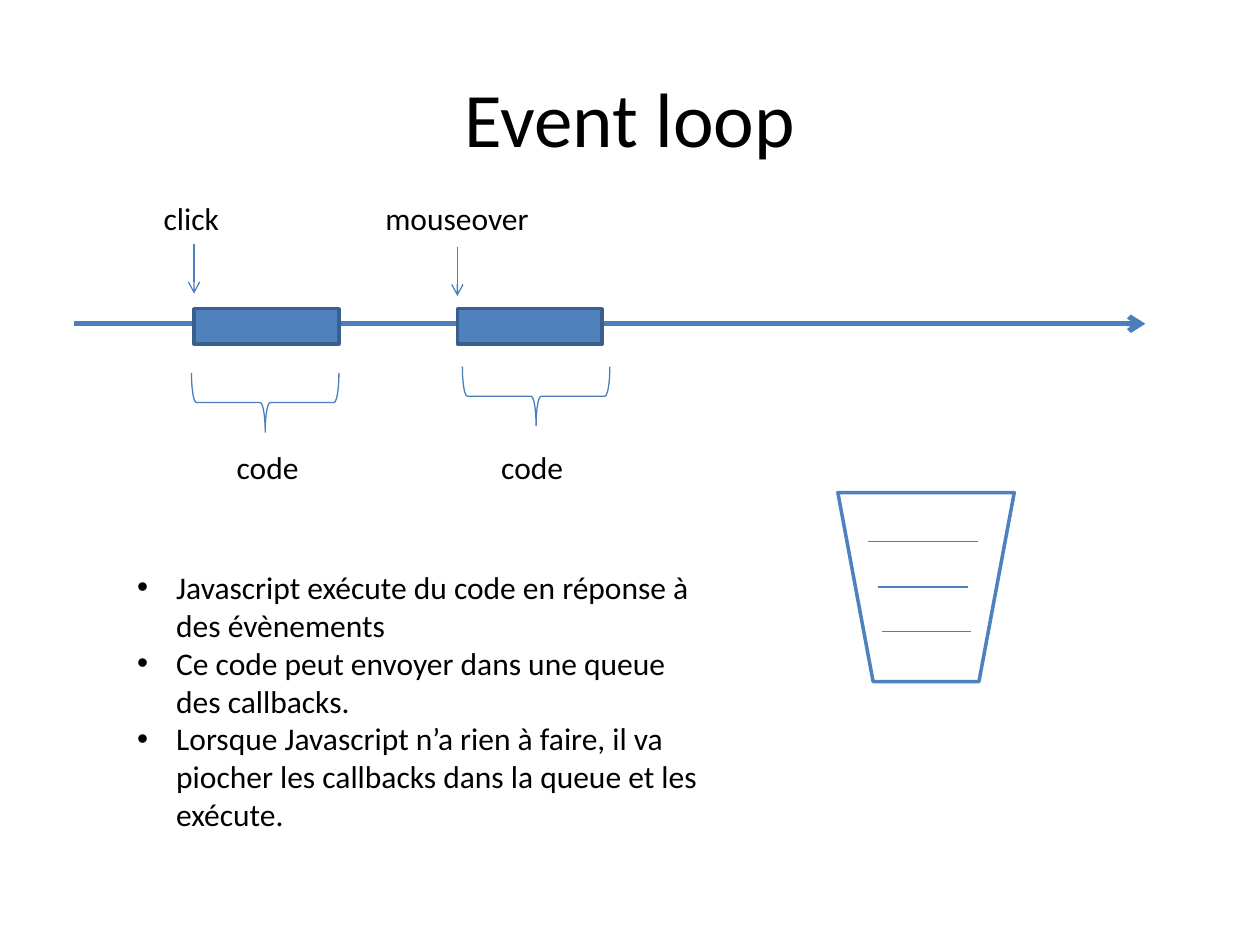
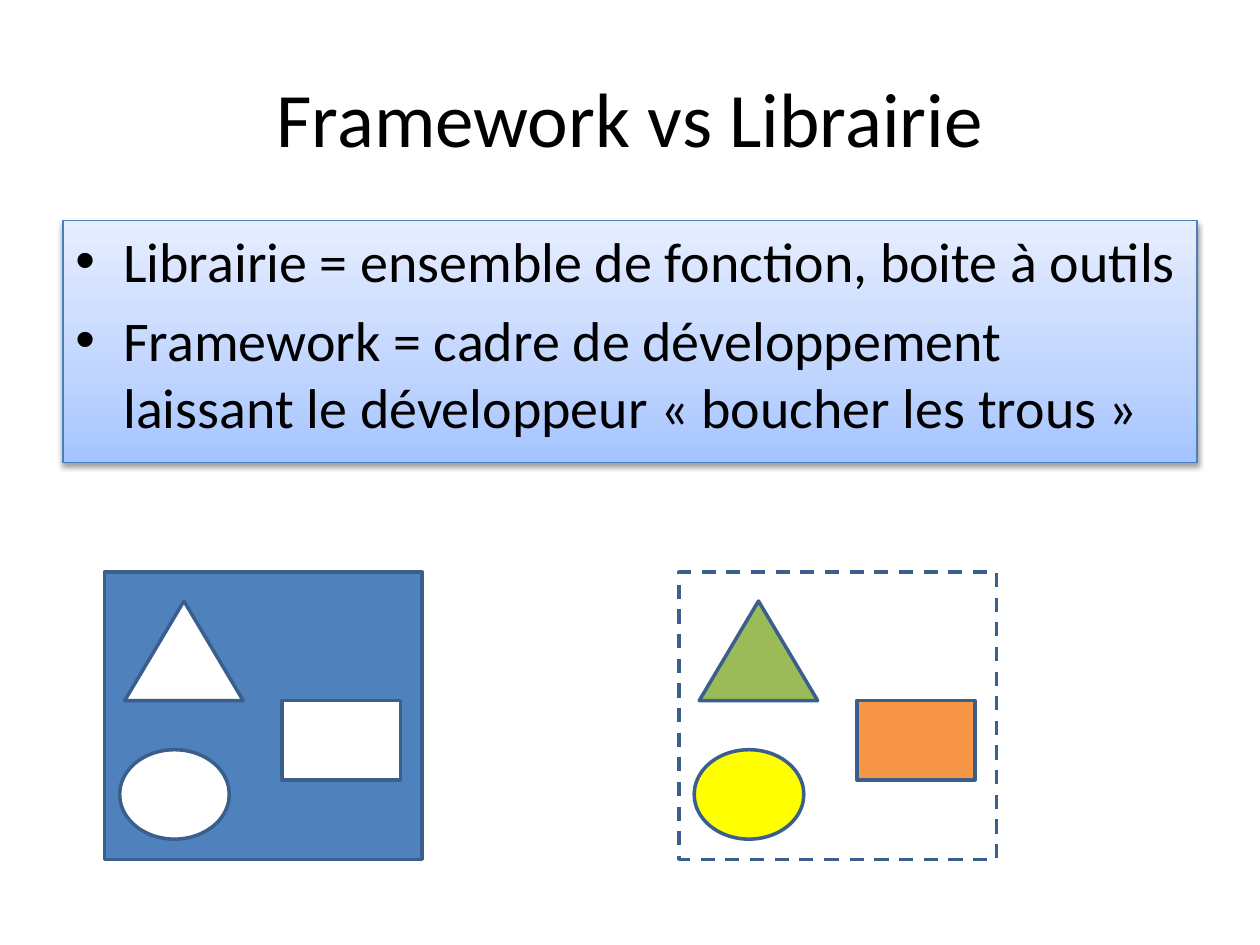
from dataclasses import dataclass
from typing import NamedTuple

from pptx import Presentation
from pptx.dml.color import RGBColor
from pptx.enum.dml import MSO_LINE
from pptx.enum.shapes import MSO_CONNECTOR, MSO_SHAPE
from pptx.enum.text import MSO_ANCHOR, MSO_AUTO_SIZE, PP_ALIGN
from pptx.oxml import parse_xml
from pptx.oxml.ns import nsdecls, qn
from pptx.oxml.xmlchemy import OxmlElement
from pptx.util import Emu, Pt

PX = 9144  # 100 px to the inch
TITLE_ONLY = 5
RECT, TRIANGLE, ELLIPSE = MSO_SHAPE.RECTANGLE, MSO_SHAPE.ISOSCELES_TRIANGLE, MSO_SHAPE.OVAL
BRACE, BUCKET = MSO_SHAPE.LEFT_BRACE, MSO_SHAPE.FLOWCHART_MANUAL_OPERATION
STRAIGHT = MSO_CONNECTOR.STRAIGHT
LEFT, CENTER = PP_ALIGN.LEFT, PP_ALIGN.CENTER
TOP, MIDDLE = MSO_ANCHOR.TOP, MSO_ANCHOR.MIDDLE
FIT_SHAPE = MSO_AUTO_SIZE.SHAPE_TO_FIT_TEXT
DASH = MSO_LINE.DASH


@dataclass(frozen=True)
class Theme:
    font: str = "Calibri"
    title_size: int = 44
    panel_size: int = 32
    label_size: int = 18
    text: str = "000000"
    white: str = "FFFFFF"
    blue: str = "4F81BD"
    thin_blue: str = "4B7EBC"
    outline: str = "3A5F8C"
    green: str = "9BBB59"
    yellow: str = "FFFF00"
    orange: str = "F79646"
    panel_stops: tuple = ((0, "A4C4FF"), (35, "BFD4FF"), (100, "E6EEFF"))
    thin: float = 0.75
    medium: float = 2
    thick: float = 3


T = Theme()


class Box(NamedTuple):
    x: int
    y: int
    w: int
    h: int


@dataclass(frozen=True)
class Event:
    name: str
    label: Box
    x: int
    arrow_y: int
    brace: Box
    code_x: int


@dataclass(frozen=True)
class Piece:
    kind: int
    box: Box  # relative to the frame


@dataclass(frozen=True)
class Frame:
    x: int
    fill: str
    dash: object
    colors: tuple


EVENTS = (
    Event("click", Box(120, 153, 65, 40), 154, 194, Box(187, 261, 47, 117), 178),
    Event("mouseover", Box(296, 153, 135, 40), 363, 196, Box(402, 256, 47, 117), 388),
)
QUEUE_LINES = ((689, 776, 430), (697, 768, 466), (700, 771, 501))
LOOP_NOTES = (
    "Javascript exécute du code en réponse à des évènements",
    "Ce code peut envoyer dans une queue des callbacks.",
    "Lorsque Javascript n’a rien à faire, il va piocher les callbacks "
    "dans la queue et les exécute.",
)
DEFINITIONS = (
    "Librairie = ensemble de fonction, boite à outils",
    "Framework = cadre de développement laissant le développeur "
    "« boucher les trous »",
)
PIECES = (
    Piece(TRIANGLE, Box(16, 23, 94, 79)),
    Piece(ELLIPSE, Box(12, 141, 87, 71)),
    Piece(RECT, Box(141, 102, 94, 63)),
)
FRAMES = (
    Frame(83, T.blue, None, (T.white,) * 3),
    Frame(539, T.white, DASH, (T.green, T.yellow, T.orange)),
)


def emu(*lengths: int) -> list:
    return [Emu(n * PX) for n in lengths]


def write(tf, *texts: str, size: float, align=LEFT, anchor=TOP, wrap=True,
          bullet_indent: int = 0, gap: float = 0) -> None:
    """Fill a text frame, one paragraph for each text."""
    tf.word_wrap = wrap
    tf.vertical_anchor = anchor
    for i, text in enumerate(texts):
        p = tf.paragraphs[0] if i == 0 else tf.add_paragraph()
        p.alignment = align
        if i and gap:
            p.space_before = Pt(gap)
        if bullet_indent:
            pPr = p._p.get_or_add_pPr()
            pPr.set("marL", str(bullet_indent * PX))
            pPr.set("indent", str(-bullet_indent * PX))
            font, char = OxmlElement("a:buFont"), OxmlElement("a:buChar")
            font.set("typeface", "Arial")
            char.set("char", "•")
            pPr.extend((font, char))
        r = p.add_run()
        r.text = text
        r.font.name = T.font
        r.font.size = Pt(size)
        r.font.color.rgb = RGBColor.from_string(T.text)


def add_label(s, box: Box, *texts: str, wrap=False, bullet_indent: int = 0) -> None:
    tf = s.shapes.add_textbox(*emu(*box)).text_frame
    write(tf, *texts, size=T.label_size, wrap=wrap, bullet_indent=bullet_indent)
    tf.auto_size = FIT_SHAPE


def set_line(line, color: str, width: float) -> None:
    line.color.rgb = RGBColor.from_string(color)
    line.width = Pt(width)


def add_shape(s, kind, box: Box, fill: str = "", line: str = T.outline,
              width: float = T.medium, dash=None):
    sp = s.shapes.add_shape(kind, *emu(*box))
    sp.shadow.inherit = False
    if fill:
        sp.fill.solid()
        sp.fill.fore_color.rgb = RGBColor.from_string(fill)
    else:
        sp.fill.background()
    set_line(sp.line, line, width)
    if dash is not None:
        sp.line.dash_style = dash
    return sp


def add_line(s, x1: int, y1: int, x2: int, y2: int, width: float = T.thin,
             arrow: bool = False) -> None:
    sp = s.shapes.add_connector(STRAIGHT, *emu(x1, y1, x2, y2))
    set_line(sp.line, T.thin_blue, width)
    if arrow:
        end = OxmlElement("a:tailEnd")
        end.set("type", "arrow")
        sp.line._get_or_add_ln().append(end)
    sp._element.spPr.append(OxmlElement("a:effectLst"))


def add_panel(s, box: Box):
    """Rectangle with a vertical gradient and a soft shadow below."""
    sp = add_shape(s, RECT, box, line=T.thin_blue, width=T.thin)
    spPr = sp._element.spPr
    stops = "".join(f'<a:gs pos="{pos * 1000}"><a:srgbClr val="{color}"/></a:gs>'
                    for pos, color in T.panel_stops)
    gradient = parse_xml(f'<a:gradFill {nsdecls("a")} rotWithShape="1"><a:gsLst>{stops}'
                         '</a:gsLst><a:lin ang="16200000" scaled="0"/></a:gradFill>')
    spPr.replace(spPr.find(qn("a:noFill")), gradient)
    spPr.find(qn("a:effectLst")).append(parse_xml(
        f'<a:outerShdw {nsdecls("a")} blurRad="40000" dist="20000" dir="5400000" '
        'rotWithShape="0"><a:srgbClr val="000000"><a:alpha val="38000"/></a:srgbClr>'
        '</a:outerShdw>'))
    return sp


def add_titled_slide(prs, title: str):
    s = prs.slides.add_slide(prs.slide_layouts[TITLE_ONLY])
    sp = s.shapes.title
    sp.left, sp.top, sp.width, sp.height = emu(50, 30, 900, 125)
    write(sp.text_frame, title, size=T.title_size, align=CENTER, anchor=MIDDLE)
    return s


def build_event_loop(prs) -> None:
    s = add_titled_slide(prs, "Event loop")

    # Time line with its events
    add_line(s, 59, 257, 909, 257, width=T.thick, arrow=True)
    for event in EVENTS:
        add_line(s, event.x, event.arrow_y, event.x, event.arrow_y + 39, arrow=True)
        add_label(s, event.label, event.name)
        brace = add_shape(s, BRACE, event.brace, line=T.thin_blue, width=T.thin)
        brace.rotation = 270
        add_label(s, Box(event.code_x, 351, 70, 40), "code")
        add_shape(s, RECT, Box(event.x, 245, 115, 28), fill=T.blue)

    # Callback queue
    add_shape(s, BUCKET, Box(665, 391, 140, 150), fill=T.white, line=T.blue)
    for x1, x2, y in QUEUE_LINES:
        add_line(s, x1, y, x2, y)

    add_label(s, Box(99, 446, 472, 222), *LOOP_NOTES, wrap=True, bullet_indent=31)


def build_framework_vs_library(prs) -> None:
    s = add_titled_slide(prs, "Framework vs Librairie")

    # Definitions
    panel = add_panel(s, Box(50, 175, 900, 192))
    write(panel.text_frame, *DEFINITIONS, size=T.panel_size, bullet_indent=38, gap=6.4)

    # Frame with holes, then loose pieces
    top = 454
    for frame in FRAMES:
        add_shape(s, RECT, Box(frame.x, top, 252, 228), fill=frame.fill, dash=frame.dash)
        for piece, color in zip(PIECES, frame.colors):
            x, y, w, h = piece.box
            add_shape(s, piece.kind, Box(frame.x + x, top + y, w, h), fill=color)


def main() -> None:
    prs = Presentation()
    prs.slide_width, prs.slide_height = emu(1000, 750)
    build_event_loop(prs)
    build_framework_vs_library(prs)
    prs.save("out.pptx")


if __name__ == "__main__":
    main()
